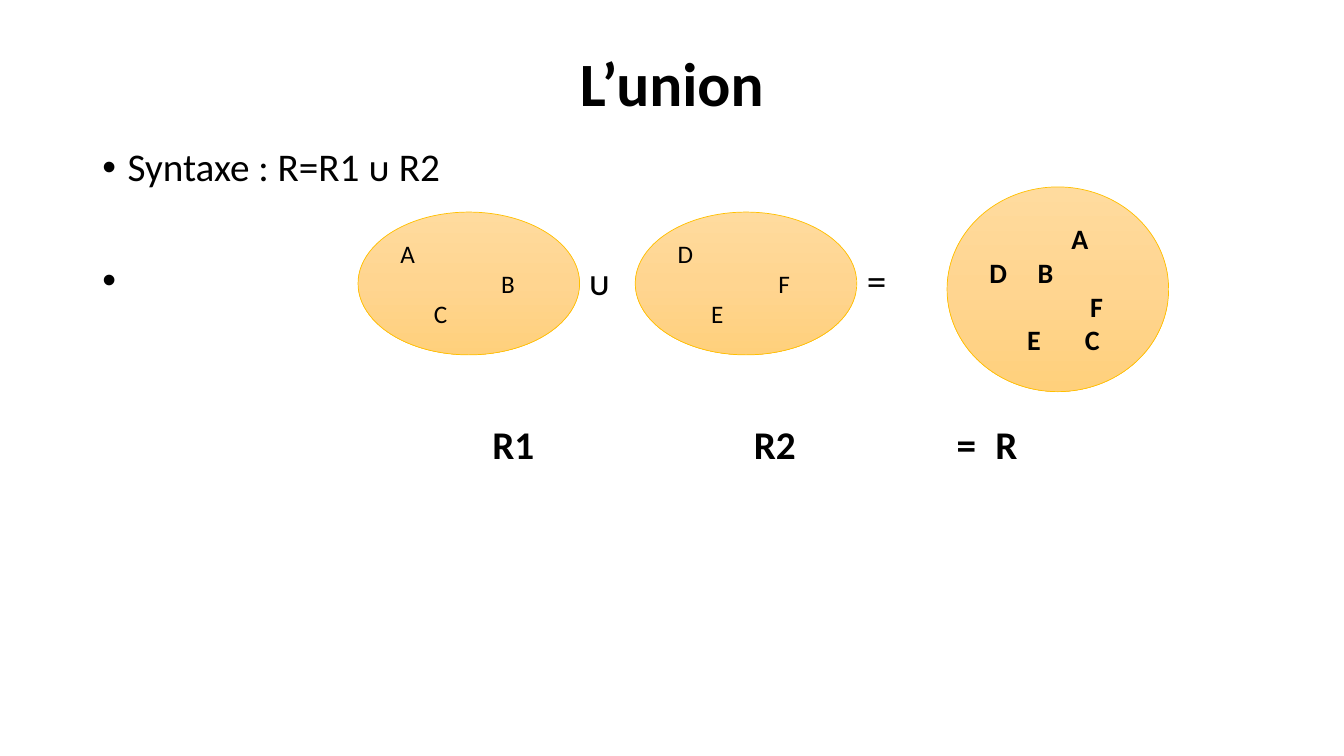
import copy
import dataclasses
import typing

import pptx
import pptx.dml.color
import pptx.enum.shapes
import pptx.enum.text
import pptx.oxml
import pptx.oxml.ns
import pptx.util

PX = 9525  # EMU per px, 96 px to the inch
FONT = "Calibri"
COLORS = {"text": "000000", "edge": "FFC000",
          "top": "FFDB9E", "mid": "FFD590", "base": "FFD07C"}


class Cell(typing.NamedTuple):
    left: int
    text: str


Row = tuple[Cell, ...]


@dataclasses.dataclass(frozen=True)
class Group:
    left: int
    top: int
    width: int
    height: int
    size: int
    bold: bool
    rows: tuple[Row, ...]


def pair(left: int, first: str, second: str, third: str) -> Group:
    """Describe one of the two source relations."""
    rows = ((Cell(0, first),), (Cell(96, second),), (Cell(32, third),))
    return Group(left, 202, 211, 136, 18, False, rows)


GROUPS = (
    pair(341, "A", "B", "C"),
    pair(605, "D", "F", "E"),
    Group(902, 178, 211, 195, 20, True, (
        (Cell(78, "A"),),
        (Cell(0, "D"), Cell(46, "B")),
        (Cell(96, "F"),),
        (Cell(36, "E"), Cell(91, "C")),
    )),
)
SIGNS = (Cell(463, "ᴜ"), Cell(728, "="))
NAMES = (Cell(469, "R1"), Cell(718, "R2"), Cell(911, "="), Cell(948, "R"))


def color(name: str) -> pptx.dml.color.RGBColor:
    return pptx.dml.color.RGBColor.from_string(COLORS[name])


def place(shape, left: int, top: int, width: int, height: int) -> None:
    shape.left, shape.top = left * PX, top * PX
    shape.width, shape.height = width * PX, height * PX


def style(para, size: int, bold: bool = False) -> None:
    font = para.font
    font.name, font.size, font.bold = FONT, pptx.util.Pt(size), bold
    font.color.rgb = color("text")


def indent(para, left: int, first: int) -> None:
    props = para._p.get_or_add_pPr()
    props.set("marL", str(left * PX))
    props.set("indent", str(first * PX))


def add_tag(parent, tag: str, **attrs: str):
    node = pptx.oxml.parse_xml(
        f'<a:{tag} xmlns:a="http://schemas.openxmlformats.org/drawingml/2006/main"/>')
    for key, value in attrs.items():
        node.set(key, value)
    parent.append(node)
    return node


def fill_signs(para) -> None:
    """Write the operators, each at its own tab stop."""
    indent(para, 0, 0)
    tabs = add_tag(para._p.get_or_add_pPr(), "tabLst")
    for sign in SIGNS:
        add_tag(tabs, "tab", pos=str(sign.left * PX), algn="l")
    para.text = "".join("\t" + sign.text for sign in SIGNS)


def fill_row(para, row: Row) -> None:
    """Indent to the first cell; the tab pitch leads to the next one."""
    indent(para, row[0].left, 0)
    if len(row) > 1:
        pitch = row[1].left - row[0].left
        para._p.get_or_add_pPr().set("defTabSz", str(pitch * PX))
    para.text = "\t".join(cell.text for cell in row)


def draw_title(shape) -> None:
    place(shape, 88, 38, 1104, 88)
    frame = shape.text_frame
    frame.auto_size = pptx.enum.text.MSO_AUTO_SIZE.NONE
    frame.vertical_anchor = pptx.enum.text.MSO_ANCHOR.MIDDLE
    para = frame.paragraphs[0]
    para.text = "L’union"
    para.alignment = pptx.enum.text.PP_ALIGN.CENTER
    para.line_spacing = 0.9
    style(para, 44, True)


def draw_body(shape) -> None:
    place(shape, 88, 136, 1104, 550)
    frame = shape.text_frame
    frame.auto_size = pptx.enum.text.MSO_AUTO_SIZE.NONE
    syntax, signs = frame.paragraphs[0], frame.add_paragraph()
    syntax.text = "Syntaxe : R=R1 ᴜ R2"
    indent(syntax, 24, -24)
    fill_signs(signs)
    for para, gap in ((syntax, 10), (signs, 51)):
        para.line_spacing = 0.9
        para.space_before = pptx.util.Pt(gap)
        style(para, 28)


def draw_name(slide, name: Cell) -> None:
    box = slide.shapes.add_textbox(name.left * PX, 400 * PX, 60 * PX, 45 * PX)
    frame = box.text_frame
    frame.word_wrap = True
    frame.margin_left = frame.margin_right = 0
    frame.margin_top = frame.margin_bottom = 0
    para = frame.paragraphs[0]
    para.text = name.text
    style(para, 28, True)


def shade(shape) -> None:
    """Fill with a three-stop gradient running downwards."""
    fill = shape.fill
    fill.gradient()
    fill.gradient_angle = 270
    stops = shape.element.spPr.find(".//" + pptx.oxml.ns.qn("a:gsLst"))
    stops.insert(1, copy.deepcopy(stops[0]))
    for stop, name, spot in zip(fill.gradient_stops, ("top", "mid", "base"), (0, 0.5, 1)):
        stop.color.rgb = color(name)
        stop.position = spot


def draw_group(slide, group: Group) -> None:
    shape = slide.shapes.add_shape(
        pptx.enum.shapes.MSO_SHAPE.OVAL, group.left * PX, group.top * PX,
        group.width * PX, group.height * PX)
    shape.shadow.inherit = False
    shade(shape)
    shape.line.color.rgb = color("edge")
    shape.line.width = pptx.util.Pt(0.5)
    frame = shape.text_frame
    frame.word_wrap = True
    frame.vertical_anchor = pptx.enum.text.MSO_ANCHOR.TOP
    for index, row in enumerate(group.rows):
        para = frame.add_paragraph() if index else frame.paragraphs[0]
        fill_row(para, row)
        para.alignment = pptx.enum.text.PP_ALIGN.LEFT
        style(para, group.size, group.bold)


def main() -> None:
    deck = pptx.Presentation()
    deck.slide_width, deck.slide_height = 1280 * PX, 720 * PX
    slide = deck.slides.add_slide(deck.slide_layouts[1])
    draw_title(slide.shapes.title)
    draw_body(slide.placeholders[1])
    for group in GROUPS:
        draw_group(slide, group)
    for name in NAMES:
        draw_name(slide, name)
    deck.save("out.pptx")


if __name__ == "__main__":
    main()
